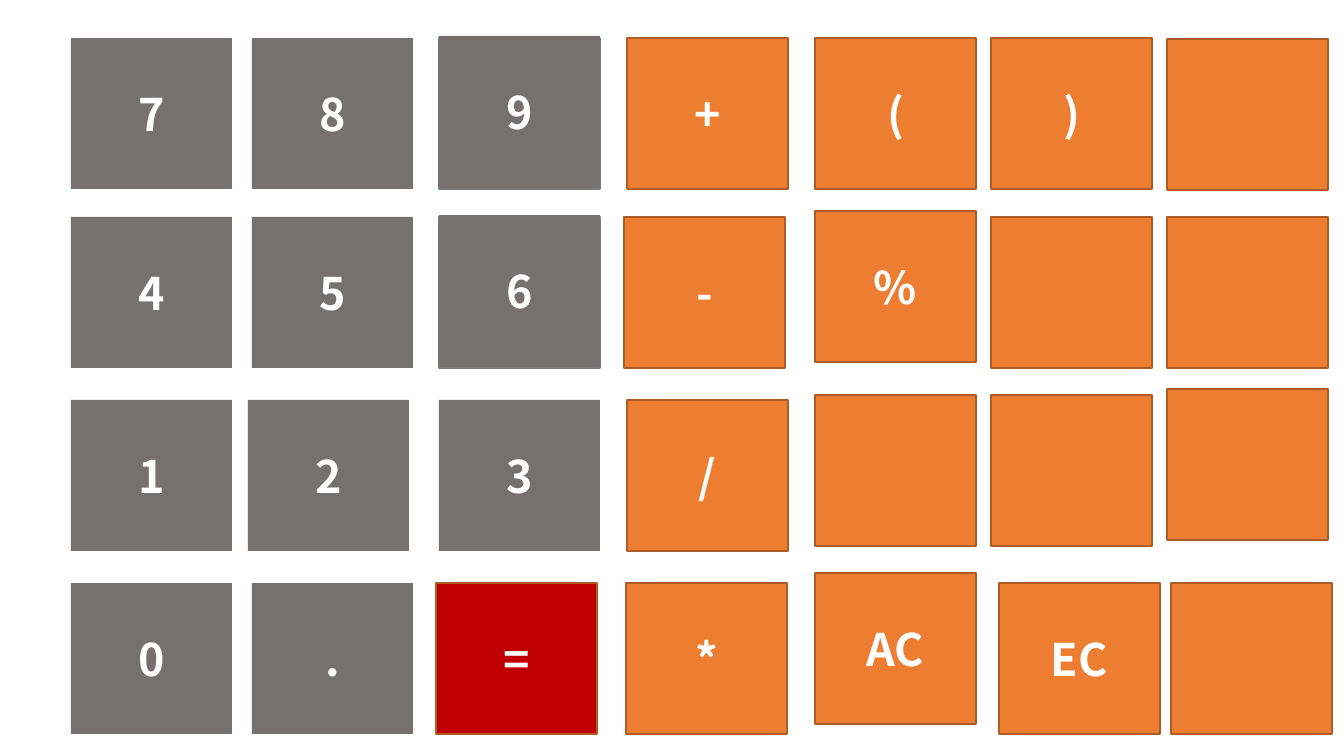
from pptx import Presentation
from pptx.dml.color import RGBColor
from pptx.enum.shapes import MSO_SHAPE
from pptx.enum.text import MSO_ANCHOR, PP_ALIGN
from pptx.util import Emu, Pt

KEYPAD = [
    ["7", "8", "9", "+", "(", ")", ""],
    ["4", "5", "6", "-", "%", "", ""],
    ["1", "2", "3", "/", "", "", ""],
    ["0", ".", "=", "*", "AC", "EC", ""],
]
COLUMN_LEFTS = [71, 252, 439, 627, 815, 991, 1167]
ROW_TOPS = [38, 217, 400, 583]
KEY_WIDTH, KEY_HEIGHT = 161, 151

# Keys that sit off the grid: (row, column) -> (shift right, shift down)
NUDGES = {
    (0, 2): (0, -2), (0, 6): (0, 1),
    (1, 2): (0, -2), (1, 3): (-3, 0), (1, 4): (0, -6),
    (2, 1): (-4, 0), (2, 4): (0, -5), (2, 5): (0, -5), (2, 6): (0, -11),
    (3, 2): (-3, 0), (3, 3): (-1, 0), (3, 4): (0, -10),
    (3, 5): (8, 0), (3, 6): (4, 0),
}
BACKED_KEYS = {"9", "6"}  # a rimmed plate peeks out beneath these

COLORS = {
    "digit": "767171", "plate_rim": "7A7A7A",
    "operator": "ED7D31", "operator_rim": "AF5C24",
    "equals": "C00000", "label": "FFFFFF",
}
FONT = "Noto Sans CJK KR"
LABEL_SIZE = Pt(32)
SCALE = 9071.43  # EMU per pixel


def px(pixels):
    """Turn pixels into EMU."""
    return Emu(round(pixels * SCALE))


def color(name):
    """Look up a named colour."""
    return RGBColor.from_string(COLORS[name])


def key_style(label):
    """Return the fill and rim colour names of a key."""
    if label == "=":
        return "equals", "operator_rim"
    if label == "." or label.isdigit():
        return "digit", None
    return "operator", "operator_rim"


def add_key(page, left, top, fill, rim, label=""):
    """Draw one key with an optional rim and label."""
    box = page.shapes.add_shape(
        MSO_SHAPE.RECTANGLE, px(left), px(top), px(KEY_WIDTH), px(KEY_HEIGHT))
    box.shadow.inherit = False
    box.fill.solid()
    box.fill.fore_color.rgb = color(fill)
    if rim:
        box.line.color.rgb = color(rim)
        box.line.width = Pt(1)
    else:
        box.line.fill.background()
    if label:
        box.text_frame.vertical_anchor = MSO_ANCHOR.MIDDLE
        para = box.text_frame.paragraphs[0]
        para.alignment = PP_ALIGN.CENTER
        span = para.add_run()
        span.text = label
        span.font.name = FONT
        span.font.size = LABEL_SIZE
        span.font.bold = True
        span.font.color.rgb = color("label")


def add_keypad(page):
    """Place every key on the grid, nudged where needed."""
    for row, (top, labels) in enumerate(zip(ROW_TOPS, KEYPAD)):
        for column, (left, label) in enumerate(zip(COLUMN_LEFTS, labels)):
            if label in BACKED_KEYS:
                add_key(page, left, top, "digit", "plate_rim")
            right, down = NUDGES.get((row, column), (0, 0))
            add_key(page, left + right, top + down, *key_style(label), label)


deck = Presentation()
deck.slide_width, deck.slide_height = px(1344), px(756)
page = deck.slides.add_slide(deck.slide_layouts[6])
add_keypad(page)
deck.save("out.pptx")
